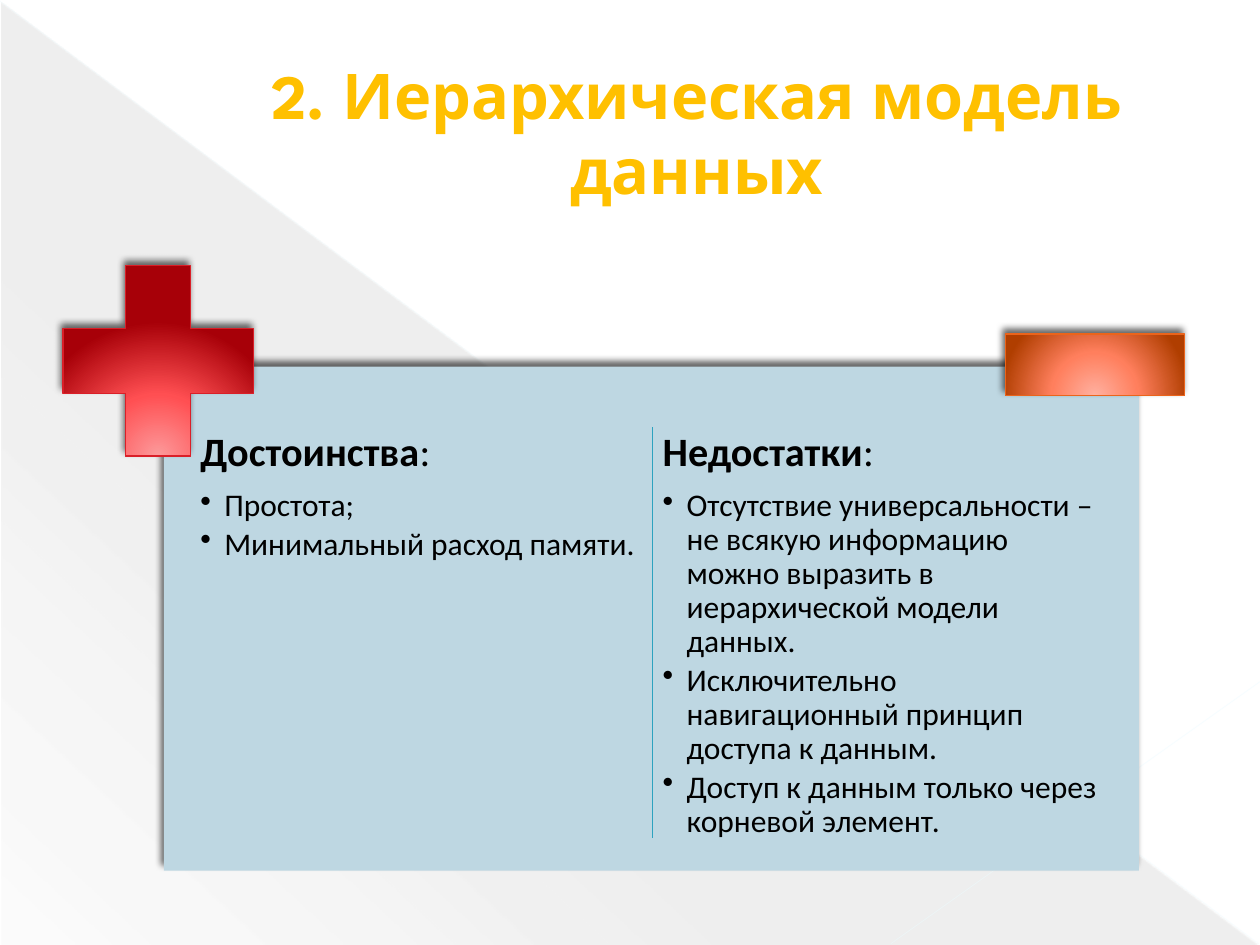
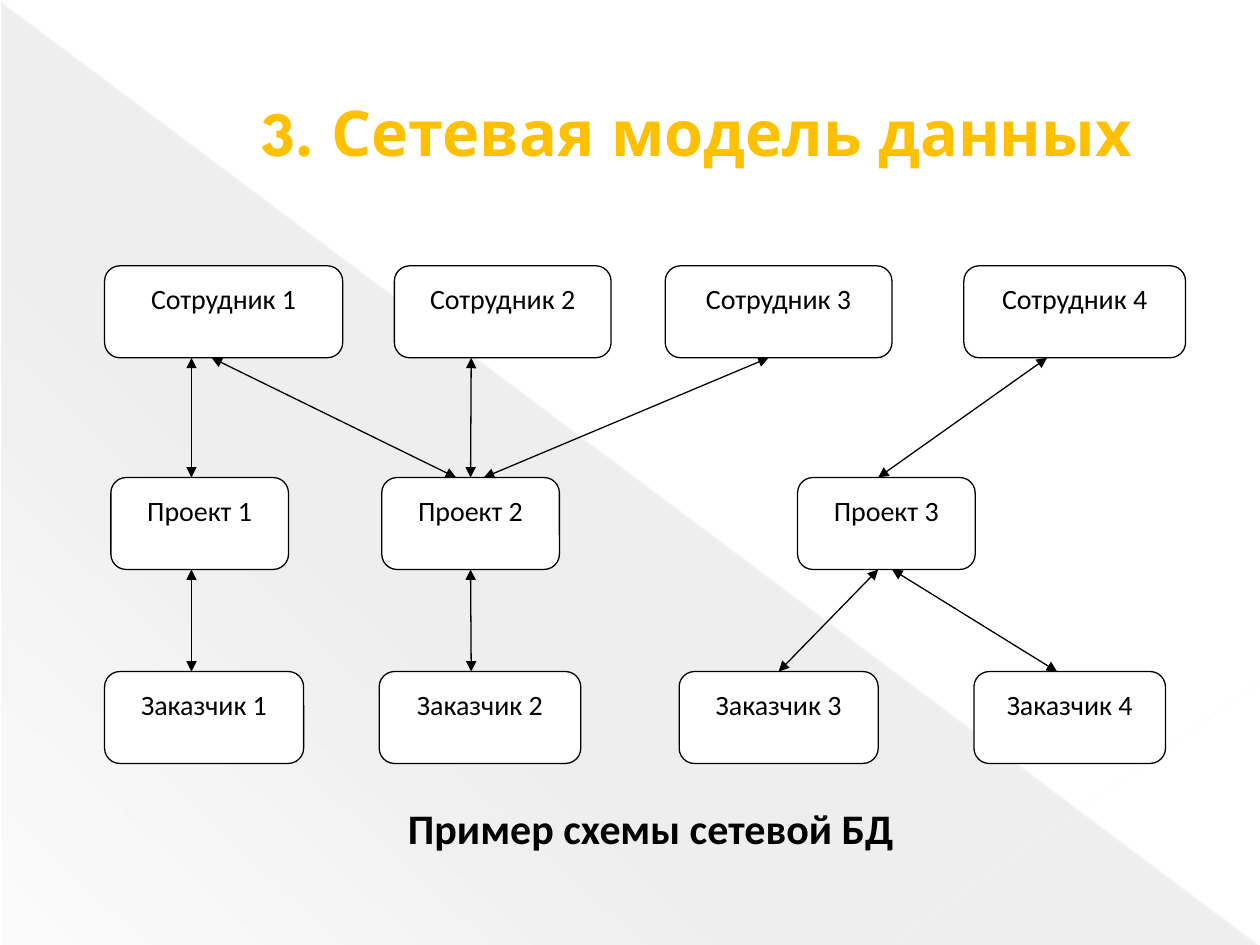
from dataclasses import dataclass

from lxml import etree
from pptx import Presentation
from pptx.dml.color import RGBColor
from pptx.enum import shapes, text
from pptx.oxml import parse_xml
from pptx.oxml.ns import nsdecls, qn
from pptx.util import Inches, Pt


@dataclass(frozen=True)
class Theme:
    """Colours, fonts and type sizes of the deck."""
    title_font: str = "League Spartan"
    body_font: str = "Calibri"
    title_size: int = 36
    caption_size: int = 24
    heading_size: int = 23
    bullet_size: int = 18
    node_size: int = 16
    title: str = "FFC000"
    ink: str = "000000"
    paper: str = "FFFFFF"
    shade: str = "464646"
    streak: str = "EBFBFF"
    side_streak: str = "EDFCFF"
    panel: str = "BED7E2"
    divider: str = "2DA2BF"
    plus_line: str = "DA1F28"
    minus_line: str = "EB641B"
    plus_stops: tuple = ((0, "FC9A9B"), (46, "FF4F52"), (100, "A70008"))
    minus_stops: tuple = ((0, "FFB0A0"), (46, "FF7F5D"), (100, "B03E00"))


T = Theme()
RISING_GLOW = ('<a:path path="circle"><a:fillToRect l="50000" t="155000" '
               'r="50000" b="-55000"/></a:path>')
NODE_HEIGHT = 0.73
ROWS = {
    2.11: [("Сотрудник 1", 0.83, 1.89), ("Сотрудник 2", 3.13, 1.72),
           ("Сотрудник 3", 5.28, 1.8), ("Сотрудник 4", 7.65, 1.76)],
    3.79: [("Проект 1", 0.88, 1.41), ("Проект 2", 3.03, 1.41),
           ("Проект 3", 6.33, 1.41)],
    5.33: [("Заказчик 1", 0.83, 1.58), ("Заказчик 2", 3.01, 1.6),
           ("Заказчик 3", 5.39, 1.58), ("Заказчик 4", 7.73, 1.52)],
}
LINKS = [
    ("Сотрудник 1", 1.52, "Проект 1", 1.52),
    ("Сотрудник 1", 1.68, "Проект 2", 3.62),
    ("Сотрудник 2", 3.74, "Проект 2", 3.74),
    ("Сотрудник 3", 6.1, "Проект 2", 3.84),
    ("Сотрудник 4", 8.31, "Проект 3", 6.97),
    ("Проект 1", 1.52, "Заказчик 1", 1.52),
    ("Проект 2", 3.74, "Заказчик 2", 3.74),
    ("Проект 3", 6.97, "Заказчик 3", 6.19),
    ("Проект 3", 7.08, "Заказчик 4", 8.39),
]
PROS = ["Простота;", "Минимальный расход памяти."]
CONS = [
    "Отсутствие универсальности – не всякую информацию можно выразить "
    "в иерархической модели данных.",
    "Исключительно навигационный принцип доступа к данным.",
    "Доступ к данным только через корневой элемент.",
]


def rgb(colour):
    """Turn a hex string into a colour."""
    return RGBColor.from_string(colour)


def style(font, size, bold=False, colour=T.ink, name=T.body_font):
    """Format a font."""
    font.name, font.size, font.bold = name, Pt(size), bold
    font.color.rgb = rgb(colour)


def gradient(sp, stops, shade):
    """Fill a shape with (position, colour, alpha) stops."""
    marks = "".join(
        f'<a:gs pos="{pos * 1000}"><a:srgbClr val="{colour}">'
        f'<a:alpha val="{alpha * 1000}"/></a:srgbClr></a:gs>'
        for pos, colour, alpha in stops)
    sp.fill.background()
    props = sp._element.spPr
    props.replace(props.find(qn("a:noFill")), parse_xml(
        f'<a:gradFill {nsdecls("a")} rotWithShape="1">'
        f'<a:gsLst>{marks}</a:gsLst>{shade}</a:gradFill>'))


def add_shape(slide, kind, box, fill=None, line=None):
    """Add a flat preset shape."""
    sp = slide.shapes.add_shape(kind, *map(Inches, box))
    sp.shadow.inherit = False
    if fill:
        sp.fill.solid()
        sp.fill.fore_color.rgb = rgb(fill)
    if line:
        sp.line.color.rgb = rgb(line)
        sp.line.width = Pt(0.75)
    else:
        sp.line.fill.background()
    return sp


def cast_shadow(sp):
    """Give a shape the soft shadow of the comparison slide."""
    sp._element.spPr.find(qn("a:effectLst")).append(parse_xml(
        f'<a:outerShdw {nsdecls("a")} blurRad="{Pt(4)}" dist="{Pt(3)}" '
        f'dir="{245 * 60000}" algn="ctr" rotWithShape="0">'
        '<a:srgbClr val="000000"><a:alpha val="60000"/></a:srgbClr>'
        '</a:outerShdw>'))


def add_sign(slide, kind, box, stops, line):
    """Add a glowing plus or minus sign."""
    sp = add_shape(slide, kind, box, line=line)
    gradient(sp, [(*stop, 100) for stop in stops], RISING_GLOW)
    cast_shadow(sp)
    return sp


def add_line(slide, start, end, colour, width=0.75, alpha=None):
    """Add a straight line without a shadow."""
    line = slide.shapes.add_connector(
        shapes.MSO_CONNECTOR.STRAIGHT, *map(Inches, (*start, *end)))
    line.line.color.rgb = rgb(colour)
    line.line.width = Pt(width)
    props = line._element.spPr
    if alpha:
        etree.SubElement(next(props.iter(qn("a:srgbClr"))), qn("a:alpha"),
                         val=str(alpha * 1000))
    etree.SubElement(props, qn("a:effectLst"))
    return line


def add_backdrop(slide):
    """Draw the shaded corner and streaks on the slide's layout."""
    corner = add_shape(slide, shapes.MSO_SHAPE.RIGHT_TRIANGLE,
                       (0.01, 0.02, 9.98, 7.48))
    gradient(corner, [(0, T.shade, 10), (70, T.shade, 8), (100, T.shade, 1)],
             f'<a:lin ang="{133 * 60000}" scaled="0"/>')
    diagonal = add_line(slide, (0, 0.01), (9.99, 7.49), T.streak, 0.39, 35)
    side = add_line(slide, (10, 5.41), (7.07, 7.49), T.side_streak, 0.47, 45)
    tree = slide.slide_layout.shapes._spTree
    for i, part in enumerate((corner, diagonal, side)):
        part._element.xpath(".//p:cNvPr")[0].set("id", str(20 + i))
        tree.insert(2 + i, part._element)


def set_title(slide, words):
    """Place and format the slide title."""
    sp = slide.shapes.title
    sp.left, sp.top, sp.width, sp.height = map(Inches, (0.97, 0.36, 8.59, 1.37))
    tf = sp.text_frame
    tf.text = words
    tf.auto_size = text.MSO_AUTO_SIZE.NONE
    tf.vertical_anchor = text.MSO_ANCHOR.MIDDLE
    p = tf.paragraphs[0]
    p.alignment = text.PP_ALIGN.CENTER
    p._p.get_or_add_pPr().set("marL", str(Inches(0.53)))
    style(p.runs[0].font, T.title_size, True, T.title, T.title_font)


def add_textbox(slide, box):
    """Add a wrapping text box and return its text frame."""
    tf = slide.shapes.add_textbox(*map(Inches, box)).text_frame
    tf.word_wrap = True
    return tf


def add_bullet(tf, words):
    """Append a bulleted paragraph."""
    p = tf.add_paragraph()
    p.text = words
    p.level = 1
    props = p._p.get_or_add_pPr()
    props.set("marL", str(Inches(0.19)))
    props.set("indent", str(-Inches(0.19)))
    etree.SubElement(props, qn("a:buChar"), char="•")
    p.line_spacing, p.space_after = 0.9, Pt(2.7)
    style(p.runs[0].font, T.bullet_size)


def add_column(slide, left, heading, points):
    """Add a heading with its bulleted points."""
    tf = add_textbox(slide, (left, 3.38, 3.6, 3.42))
    tf.margin_left = tf.margin_right = Inches(0.05)
    p = tf.paragraphs[0]
    p.text = heading
    p.add_run().text = ":"
    p.line_spacing, p.space_after = 0.9, Pt(8)
    for r, bold in zip(p.runs, (True, False)):
        style(r.font, T.heading_size, bold)
    for point in points:
        add_bullet(tf, point)


def add_node(slide, words, left, top, width):
    """Add a rounded box of the network scheme."""
    sp = add_shape(slide, shapes.MSO_SHAPE.ROUNDED_RECTANGLE,
                   (left, top, width, NODE_HEIGHT), T.paper, T.ink)
    tf = sp.text_frame
    tf.text = words
    tf.vertical_anchor = text.MSO_ANCHOR.TOP
    p = tf.paragraphs[0]
    p.alignment = text.PP_ALIGN.CENTER
    p.line_spacing, p.space_after = 1.15, Pt(10)
    style(p.runs[0].font, T.node_size)
    return sp


def is_middle(sp, x):
    """Tell whether x falls on the middle of a shape."""
    return abs(sp.left + sp.width / 2 - Inches(x)) < Inches(0.02)


def add_link(slide, upper, x1, lower, x2):
    """Join two boxes with a double-headed arrow."""
    line = add_line(slide, (x1, (upper.top + upper.height).inches
                            if hasattr(upper.top + upper.height, "inches")
                            else (upper.top + upper.height) / Inches(1)),
                    (x2, lower.top / Inches(1)), T.ink)
    if is_middle(upper, x1):
        line.begin_connect(upper, 2)
    if is_middle(lower, x2):
        line.end_connect(lower, 0)
    for end in ("a:headEnd", "a:tailEnd"):
        etree.SubElement(line.line._get_or_add_ln(), qn(end), type="triangle")


def build_comparison(slide):
    """Build the slide on the strengths and weaknesses of the model."""
    set_title(slide, "2. Иерархическая модель данных")
    rectangle = shapes.MSO_SHAPE.RECTANGLE
    cast_shadow(add_shape(slide, rectangle, (1.3, 2.91, 7.74, 4), T.panel))
    add_column(slide, 1.54, "Достоинства", PROS)
    add_column(slide, 5.21, "Недостатки", CONS)
    plus = add_sign(slide, shapes.MSO_SHAPE.CROSS, (0.5, 2.11, 1.51, 1.51),
                    T.plus_stops, T.plus_line)
    plus.adjustments[0] = 0.33
    add_sign(slide, rectangle, (7.98, 2.65, 1.42, 0.49),
             T.minus_stops, T.minus_line)
    add_line(slide, (5.18, 3.39), (5.18, 6.65), T.divider)


def build_network(slide):
    """Build the slide with the network scheme."""
    set_title(slide, "3. Сетевая модель данных")
    tf = add_textbox(slide, (1.58, 6.32, 7.17, 0.5))
    tf.text = "Пример схемы сетевой БД"
    p = tf.paragraphs[0]
    p.alignment = text.PP_ALIGN.CENTER
    style(p.runs[0].font, T.caption_size, True)
    nodes = {words: add_node(slide, words, left, top, width)
             for top, row in ROWS.items() for words, left, width in row}
    for upper, x1, lower, x2 in LINKS:
        add_link(slide, nodes[upper], x1, nodes[lower], x2)


def main():
    """Build the deck."""
    prs = Presentation()
    prs.slide_width, prs.slide_height = Inches(10), Inches(7.5)
    comparison, network = (prs.slides.add_slide(prs.slide_layouts[5])
                           for _ in range(2))
    add_backdrop(comparison)
    build_comparison(comparison)
    build_network(network)
    prs.save("out.pptx")


if __name__ == "__main__":
    main()
